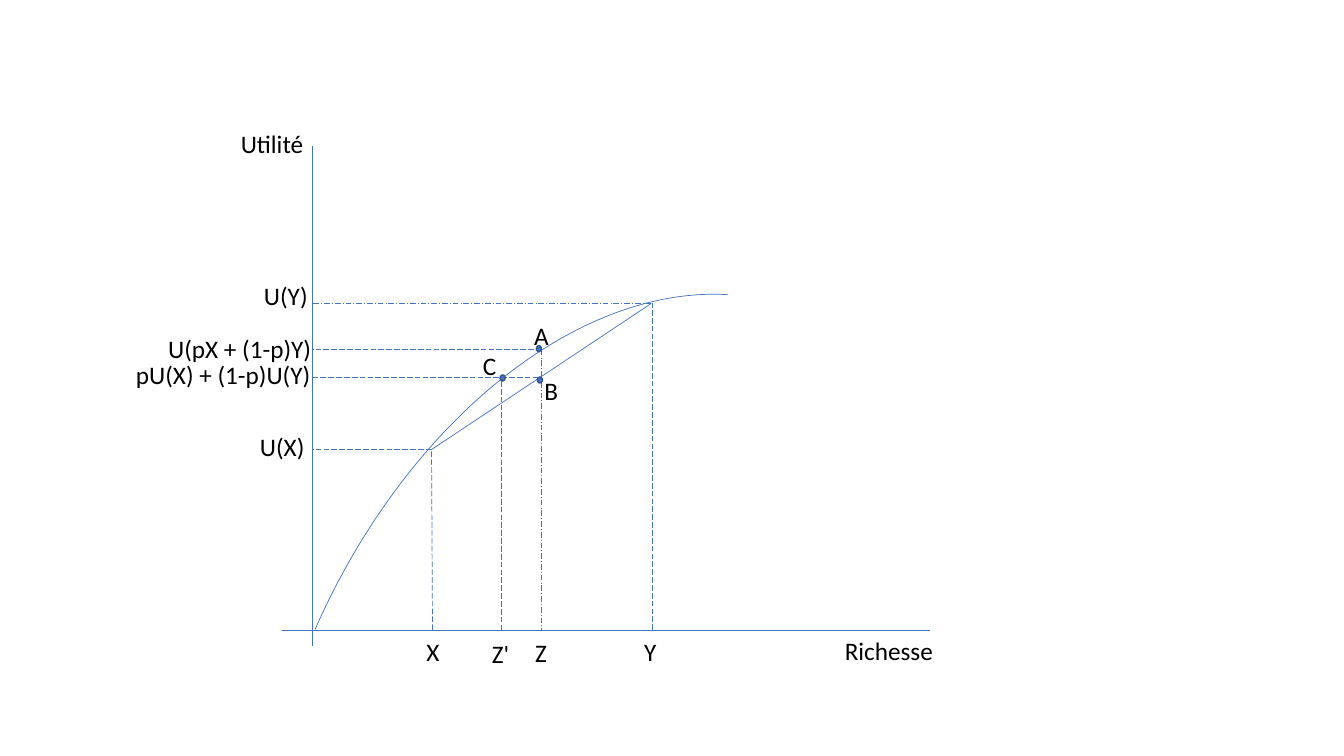
"""Builds a slide with a concave utility curve and its certainty equivalent."""
from pptx import Presentation
from pptx.dml.color import RGBColor
from pptx.enum.dml import MSO_LINE as Dash
from pptx.enum.shapes import MSO_CONNECTOR as Link, MSO_SHAPE as Shape
from pptx.enum.text import MSO_AUTO_SIZE as AutoSize
from pptx.oxml.ns import qn
from pptx.util import Inches, Pt
from lxml.etree import SubElement

BLUE, DARK_BLUE, BLACK = "4472C4", "325491", "000000"


def color(hex_text):
    return RGBColor.from_string(hex_text)


deck = Presentation()
deck.slide_width, deck.slide_height = Inches(13.33), Inches(7.5)
page = deck.slides.add_slide(deck.slide_layouts[6])

axis_x, axis_y = 3.1, 6.25
x, z_prime, z, y = 4.28, 4.97, 5.37, 6.46
u_x, u_mean, u_z, u_y = 4.46, 3.74, 3.47, 3.01

curve = page.shapes.add_shape(Shape.ARC, Inches(1.19), Inches(4.36), Inches(9.64), Inches(6.3))
curve.rotation = 293.7
curve.adjustments[0] = 162
curve.adjustments[1] = 210.642
curve.shadow.inherit = False
curve.fill.background()
curve.line.color.rgb = color(BLUE)
curve.line.width = Pt(0.5)

lines = [
    (axis_x, 1.45, axis_x, 6.41, None),
    (2.8, axis_y, 9.22, axis_y, None),
    (x, u_x, y, u_y, None),
    (4.29, axis_y, x, u_x, Dash.LONG_DASH),
    (z_prime, 3.78, z_prime, axis_y, Dash.LONG_DASH),
    (z, u_z, z, axis_y, Dash.LONG_DASH_DOT),
    (6.47, axis_y, 6.47, u_y, Dash.LONG_DASH),
    (x, u_x, axis_x, u_x, Dash.LONG_DASH),
    (axis_x, u_mean, z, u_mean, Dash.LONG_DASH),
    (z, u_z, axis_x, u_z, Dash.LONG_DASH),
    (y, u_y, axis_x, u_y, Dash.LONG_DASH_DOT),
]
for *ends, dash in lines:
    line = page.shapes.add_connector(Link.STRAIGHT, *map(Inches, ends))
    line.line.color.rgb = color(BLUE)
    line.line.width = Pt(0.5)
    if dash:
        line.line.dash_style = dash
    SubElement(line._element.spPr, qn("a:effectLst"))

for left, top in [(5.32, 3.43), (5.33, 3.74), (4.96, 3.72)]:
    point = page.shapes.add_shape(Shape.OVAL, Inches(left), Inches(top), Inches(0.05), Inches(0.06))
    point.shadow.inherit = False
    point.fill.solid()
    point.fill.fore_color.rgb = color(BLUE)
    point.line.color.rgb = color(DARK_BLUE)
    point.line.width = Pt(1)

labels = [
    ("Utilité", 2.29, 1.22, 0.83),
    ("Richesse", 8.28, 6.25, 1.09),
    ("U(Y)", 2.52, 2.73, 0.64),
    ("U(pX + (1-p)Y)", 1.57, 3.26, 1.64),
    ("pU(X) + (1-p)U(Y)", 1.25, 3.52, 1.96),
    ("U(X)", 2.48, 4.23, 0.65),
    ("X", 4.13, 6.26, 0.33),
    ("Z'", 4.78, 6.28, 0.38),
    ("Z", 5.21, 6.27, 0.32),
    ("Y", 6.29, 6.26, 0.32),
    ("A", 5.2, 3.13, 0.35),
    ("B", 5.3, 3.67, 0.34),
    ("C", 4.69, 3.43, 0.34),
]
for text, left, top, width in labels:
    box = page.shapes.add_textbox(Inches(left), Inches(top), Inches(width), Inches(0.4))
    box.text_frame.word_wrap = False
    box.text_frame.auto_size = AutoSize.SHAPE_TO_FIT_TEXT
    span = box.text_frame.paragraphs[0].add_run()
    span.text = text
    span.font.name = "Calibri"
    span.font.size = Pt(18)
    span.font.color.rgb = color(BLACK)

deck.save("out.pptx")
